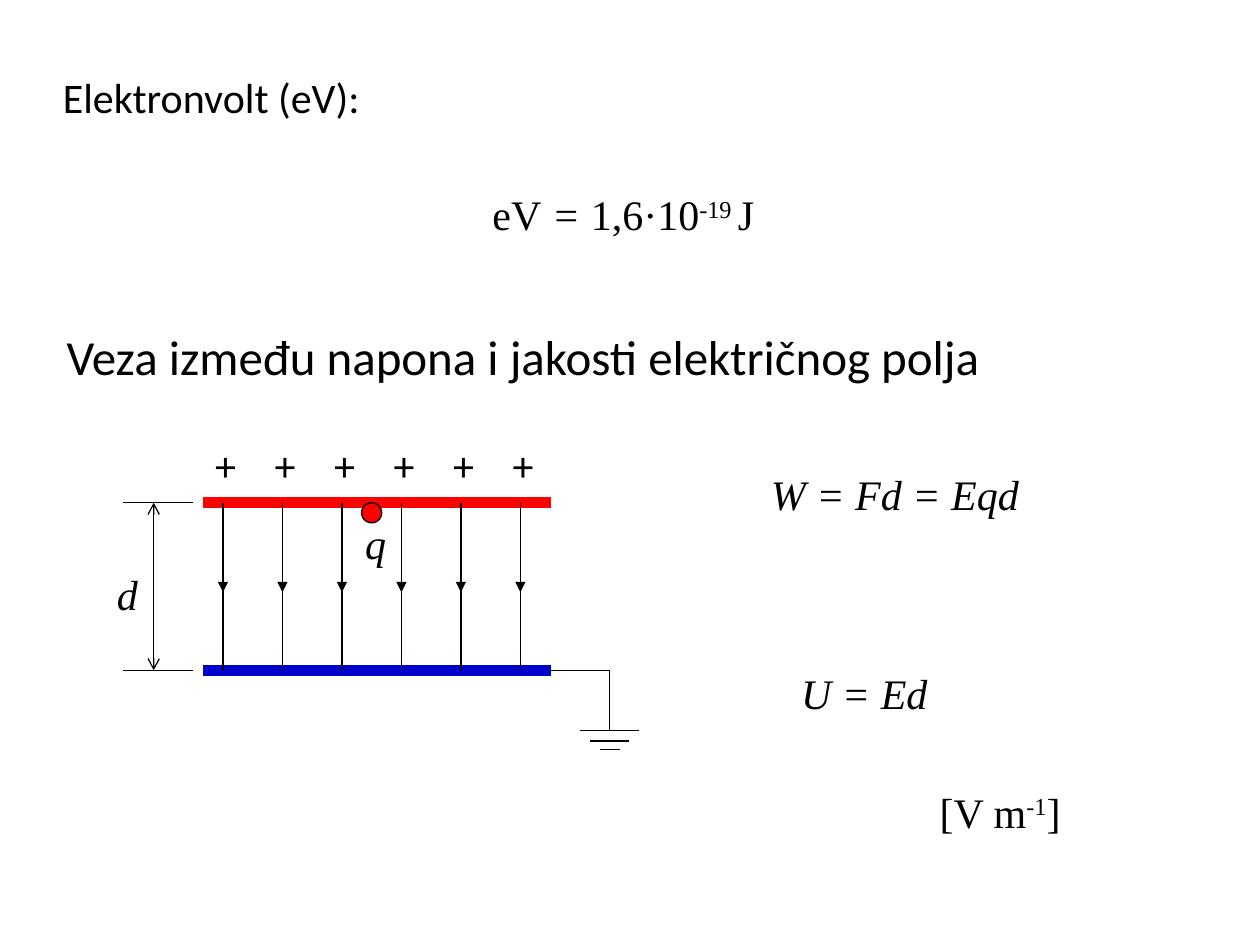
from lxml.etree import SubElement
from pptx import Presentation
from pptx.dml.color import RGBColor
from pptx.enum.shapes import MSO_CONNECTOR, MSO_SHAPE
from pptx.enum.text import MSO_AUTO_SIZE
from pptx.oxml.ns import qn
from pptx.util import Inches, Pt

BLACK, RED, BLUE = "000000", "FF0000", "0000CC"
SERIF = "Times New Roman"

HEADINGS = [
    ("Elektronvolt (eV):", (0.4, 0.52, 2.58, 0.5), 24),
    ("Veza između napona i jakosti električnog polja", (0.43, 2.54, 7.52, 0.57), 28),
]
FORMULAS = [
    ([("eV", ""), (" = ", "italic"), ("1,6·10", ""), ("-19 ", "super"), ("J", "")],
     (3.81, 1.45, 2.38, 0.5)),
    ([("W = Fd = Eqd", "italic")], (6.02, 3.67, 2.17, 0.5)),
    ([("U = Ed", "italic")], (6.26, 5.25, 1.2, 0.5)),
    ([("[V m", ""), ("-1", "super"), ("]", "")], (7.36, 6.19, 1.2, 0.5)),
]
SYMBOLS = [("d", (0.83, 4.46, 0.37, 0.5)), ("q", (2.8, 4.06, 0.37, 0.5))]

PLATE_LEFT, PLATE_RIGHT = 1.61, 4.37
TOP, BOTTOM = 3.99, 5.32
PLATES = [(TOP, RED), (BOTTOM, BLUE)]
FIELD_COUNT, FIELD_LEFT, FIELD_GAP, ARROW_TIP = 6, 1.77, 0.472, 4.7
GROUND_X, GROUND_Y = 4.84, 5.8
GROUND_BARS = [(0, 0.47), (0.08, 0.31), (0.15, 0.16)]


def color(value):
    return RGBColor.from_string(value)


def add_text(slide, runs, box, font=SERIF, size=24):
    frame = slide.shapes.add_textbox(*map(Inches, box)).text_frame
    frame.word_wrap = False
    frame.auto_size = MSO_AUTO_SIZE.SHAPE_TO_FIT_TEXT
    for text, style in runs:
        run = frame.paragraphs[0].add_run()
        run.text = text
        run.font.name = font
        run.font.size = Pt(size)
        run.font.color.rgb = color(BLACK)
        run.font.italic = style == "italic"
        if style == "super":
            run.font._element.set("baseline", "30000")


def add_line(slide, start, end, stroke=BLACK, width=0.75, head=None, tail=None):
    line = slide.shapes.add_connector(
        MSO_CONNECTOR.STRAIGHT, *map(Inches, (*start, *end)))
    line.line.color.rgb = color(stroke)
    line.line.width = Pt(width)
    for tag, kind in (("a:headEnd", head), ("a:tailEnd", tail)):
        if kind:
            SubElement(line.line._get_or_add_ln(), qn(tag), type=kind)
    SubElement(line._element.spPr, qn("a:effectLst"))


def add_capacitor(slide):
    for y, stroke in PLATES:
        add_line(slide, (PLATE_LEFT, y), (PLATE_RIGHT, y), stroke=stroke, width=6)
        add_line(slide, (0.98, y), (1.53, y))
    add_line(slide, (1.22, TOP), (1.22, BOTTOM), head="arrow", tail="arrow")
    for index in range(FIELD_COUNT):
        x = FIELD_LEFT + index * FIELD_GAP
        add_text(slide, [("+", "")], (x - 0.16, 3.44, 0.37, 0.51), font="Calibri")
        add_line(slide, (x, TOP), (x, ARROW_TIP), tail="triangle")
        add_line(slide, (x, ARROW_TIP - 0.08), (x, BOTTOM))


def add_charge(slide):
    charge = slide.shapes.add_shape(
        MSO_SHAPE.OVAL, *map(Inches, (2.87, TOP, 0.16, 0.16)))
    charge.shadow.inherit = False
    charge.fill.solid()
    charge.fill.fore_color.rgb = color(RED)
    charge.line.color.rgb = color(BLACK)
    charge.line.width = Pt(0.75)


def add_ground(slide):
    add_line(slide, (PLATE_RIGHT, BOTTOM), (GROUND_X, BOTTOM))
    add_line(slide, (GROUND_X, BOTTOM), (GROUND_X, GROUND_Y))
    for drop, width in GROUND_BARS:
        y = GROUND_Y + drop
        add_line(slide, (GROUND_X - width / 2, y), (GROUND_X + width / 2, y))


def main():
    """Build the slide on the electronvolt and the field between two plates."""
    deck = Presentation()
    deck.slide_width, deck.slide_height = Inches(10), Inches(7.5)
    slide = deck.slides.add_slide(deck.slide_layouts[6])
    for heading, box, size in HEADINGS:
        add_text(slide, [(heading, "")], box, font="Calibri", size=size)
    for runs, box in FORMULAS:
        add_text(slide, runs, box)
    add_capacitor(slide)
    add_charge(slide)
    add_ground(slide)
    for symbol, box in SYMBOLS:
        add_text(slide, [(symbol, "italic")], box)
    deck.save("out.pptx")


if __name__ == "__main__":
    main()
